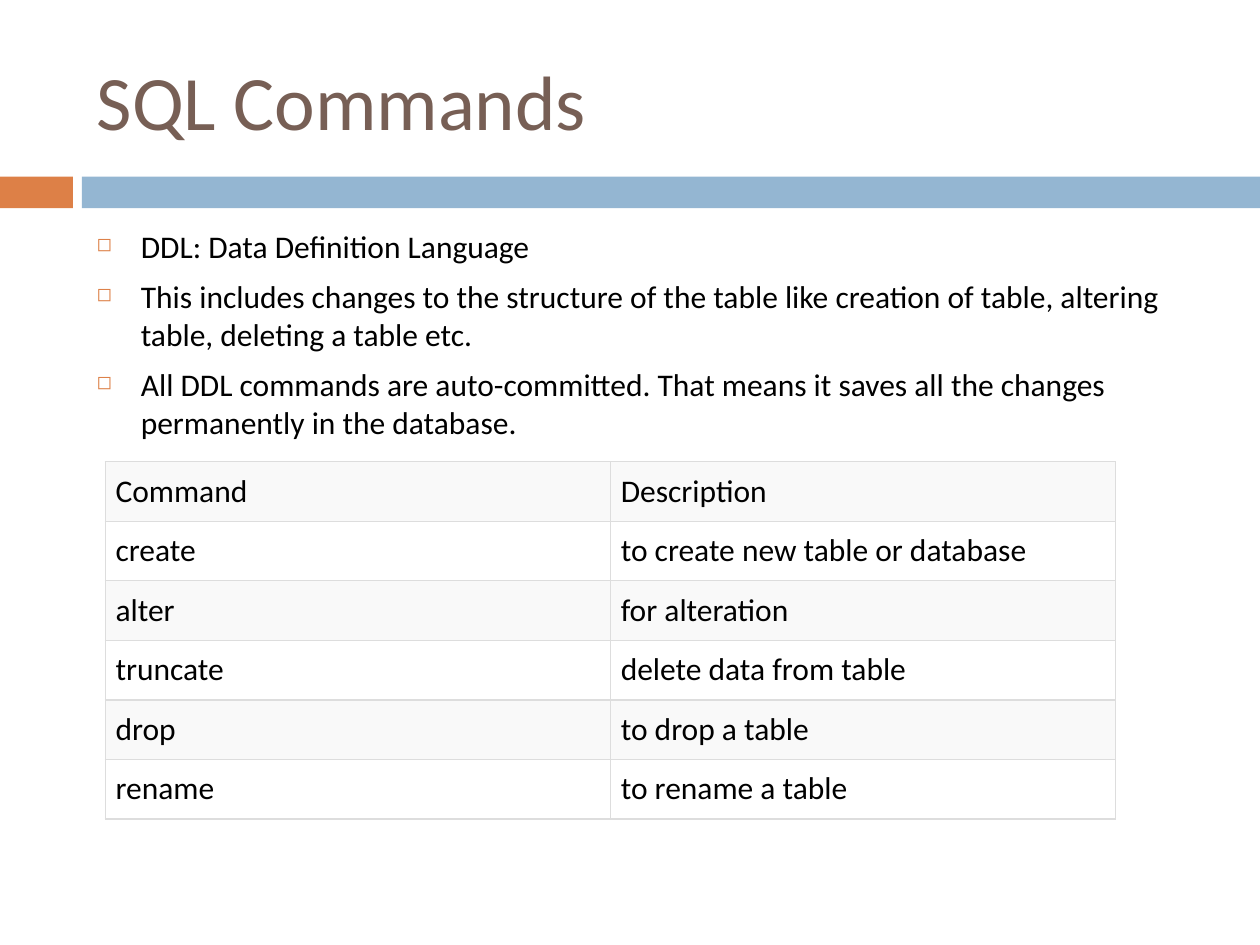
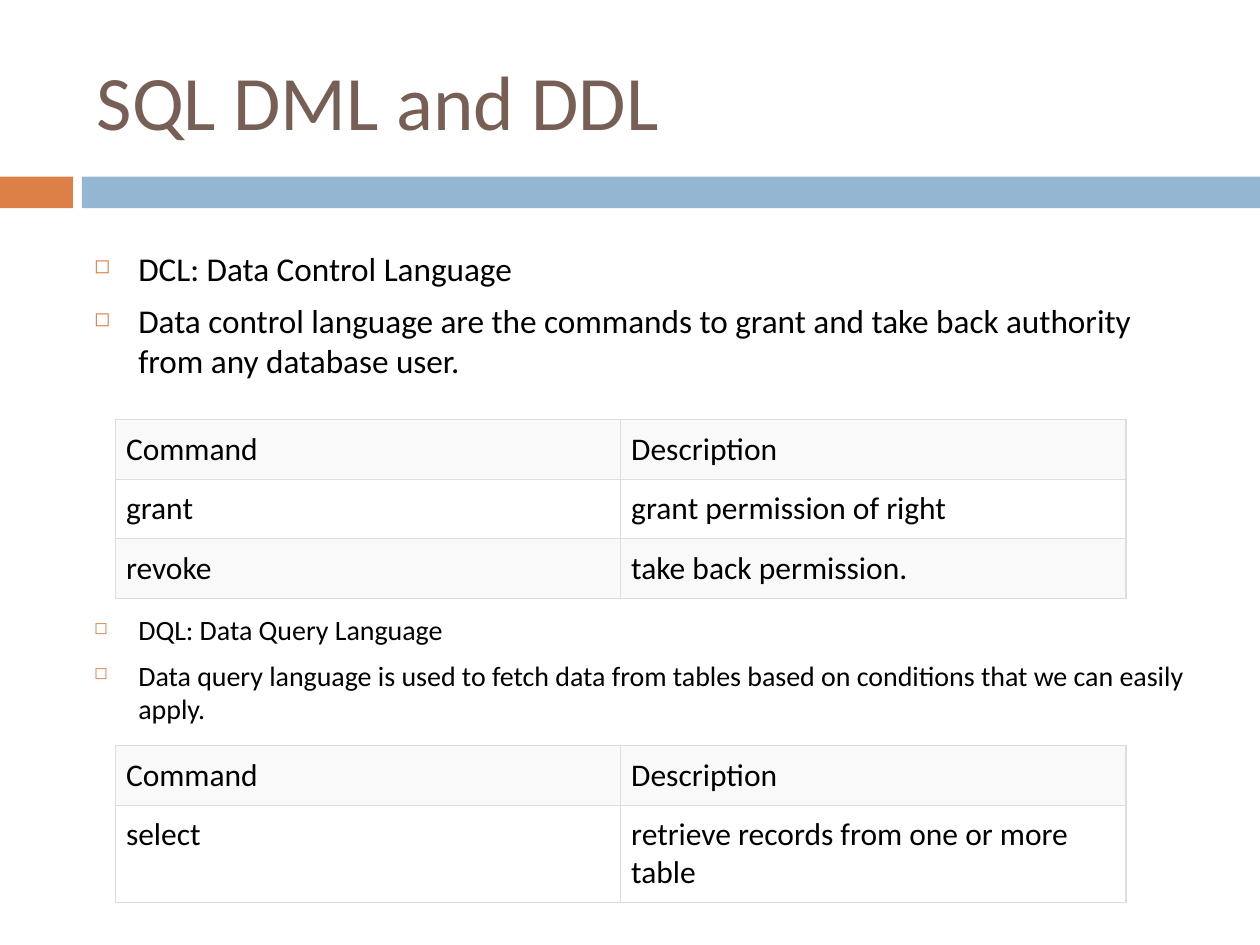
from lxml.etree import SubElement
from pptx import Presentation
from pptx.dml.color import RGBColor as Rgb
from pptx.enum.shapes import MSO_SHAPE as Shape
from pptx.enum.text import MSO_ANCHOR as Anchor
from pptx.oxml.ns import qn
from pptx.util import Cm, Pt

COLORS = {
    "title": "775F55",
    "accent": "DD8047",
    "band": "94B6D2",
    "text": "000000",
    "stripe": "F9F9F9",
    "border": "DDDDDD",
}
FONT = "Calibri"
SLIDE_WIDTH, SLIDE_HEIGHT = 25.4, 19.05
CONTENT_WIDTH = 22.66
TABLE_WIDTH = 20.37
ROW_HEIGHT = 1.2
CELL_INSET = Cm(0.21)
INDENT = Cm(0.89)


def color(name):
    return Rgb.from_string(COLORS[name])


def add_run(paragraph, words, size, color_name="text"):
    run = paragraph.add_run()
    run.text = words
    run.font.size = Pt(size)
    run.font.name = FONT
    run.font.color.rgb = color(color_name)


def add_text_frame(slide, left, top, width, height):
    frame = slide.shapes.add_textbox(Cm(left), Cm(top), Cm(width), Cm(height)).text_frame
    frame.word_wrap = True
    return frame


def add_band(slide, left, width, color_name):
    band = slide.shapes.add_shape(Shape.RECTANGLE, Cm(left), Cm(3.56), Cm(width), Cm(0.64))
    band.shadow.inherit = False
    band.fill.solid()
    band.fill.fore_color.rgb = color(color_name)
    band.line.fill.background()


def add_header(slide, title):
    add_band(slide, 0, 1.47, "accent")
    add_band(slide, 1.65, SLIDE_WIDTH - 1.65, "band")
    frame = add_text_frame(slide, 1.7, 0.64, CONTENT_WIDTH, 2.74)
    frame.vertical_anchor = Anchor.MIDDLE
    add_run(frame.paragraphs[0], title, 44, "title")


def set_bullet(paragraph):
    properties = paragraph._p.get_or_add_pPr()
    properties.set("marL", str(INDENT))
    properties.set("indent", str(-INDENT))
    bullet_color = SubElement(properties, qn("a:buClr"))
    SubElement(bullet_color, qn("a:srgbClr"), val=COLORS["accent"])
    SubElement(properties, qn("a:buSzPct"), val="60000")
    SubElement(properties, qn("a:buChar"), char="◻")


def add_bullets(slide, left, top, height, size, points):
    frame = add_text_frame(slide, left, top, CONTENT_WIDTH, height)
    for index, point in enumerate(points):
        paragraph = frame.add_paragraph() if index else frame.paragraphs[0]
        paragraph.space_before = Pt(7 if index else 0)
        set_bullet(paragraph)
        add_run(paragraph, point, size)


def set_borders(cell):
    properties = cell._tc.get_or_add_tcPr()
    for side in ("lnL", "lnR", "lnT", "lnB"):
        line = SubElement(properties, qn(f"a:{side}"), w=str(Pt(0.75)))
        fill = SubElement(line, qn("a:solidFill"))
        SubElement(fill, qn("a:srgbClr"), val=COLORS["border"])


def fill_cell(cell, words, striped):
    cell.margin_left = cell.margin_right = CELL_INSET
    cell.margin_top = cell.margin_bottom = CELL_INSET
    set_borders(cell)
    if striped:
        cell.fill.solid()
        cell.fill.fore_color.rgb = color("stripe")
    else:
        cell.fill.background()
    add_run(cell.text_frame.paragraphs[0], words, 18)


def add_command_table(slide, left, top, commands, last_height=ROW_HEIGHT):
    entries = [("Command", "Description"), *commands]
    height = ROW_HEIGHT * len(commands) + last_height
    table = slide.shapes.add_table(
        len(entries), 2, Cm(left), Cm(top), Cm(TABLE_WIDTH), Cm(height)
    ).table
    table.first_row = table.horz_banding = False
    for row_index, entry in enumerate(entries):
        table.rows[row_index].height = Cm(ROW_HEIGHT)
        for column_index, words in enumerate(entry):
            fill_cell(table.cell(row_index, column_index), words, row_index % 2 == 0)
    table.rows[len(commands)].height = Cm(last_height)


def add_ddl_slide(slide):
    add_header(slide, "SQL Commands")
    add_bullets(slide, 1.7, 4.45, 4.7, 18, [
        "DDL: Data Definition Language",
        "This includes changes to the structure of the table like creation of table, "
        "altering table, deleting a table etc.",
        "All DDL commands are auto-committed. That means it saves all the changes "
        "permanently in the database.",
    ])
    add_command_table(slide, 2.12, 9.31, [
        ("create", "to create new table or database"),
        ("alter", "for alteration"),
        ("truncate", "delete data from table"),
        ("drop", "to drop a table"),
        ("rename", "to rename a table"),
    ])


def add_dcl_dql_slide(slide):
    left, table_left = 1.65, 2.33
    add_header(slide, "SQL DML and DDL")
    add_bullets(slide, left, 4.88, 3.2, 19, [
        "DCL: Data Control Language",
        "Data control language are the commands to grant and take back authority "
        "from any database user.",
    ])
    add_command_table(slide, table_left, 8.46, [
        ("grant", "grant permission of right"),
        ("revoke", "take back permission."),
    ])
    add_bullets(slide, left, 12.22, 2.6, 16, [
        "DQL: Data Query Language",
        "Data query language is used to fetch data from tables based on conditions "
        "that we can easily apply.",
    ])
    add_command_table(slide, table_left, 15.03, [
        ("select", "retrieve records from one or more table"),
    ], last_height=1.97)


def main():
    deck = Presentation()
    deck.slide_width, deck.slide_height = Cm(SLIDE_WIDTH), Cm(SLIDE_HEIGHT)
    blank = deck.slide_layouts[6]
    for build in (add_ddl_slide, add_dcl_dql_slide):
        build(deck.slides.add_slide(blank))
    deck.save("out.pptx")


if __name__ == "__main__":
    main()
